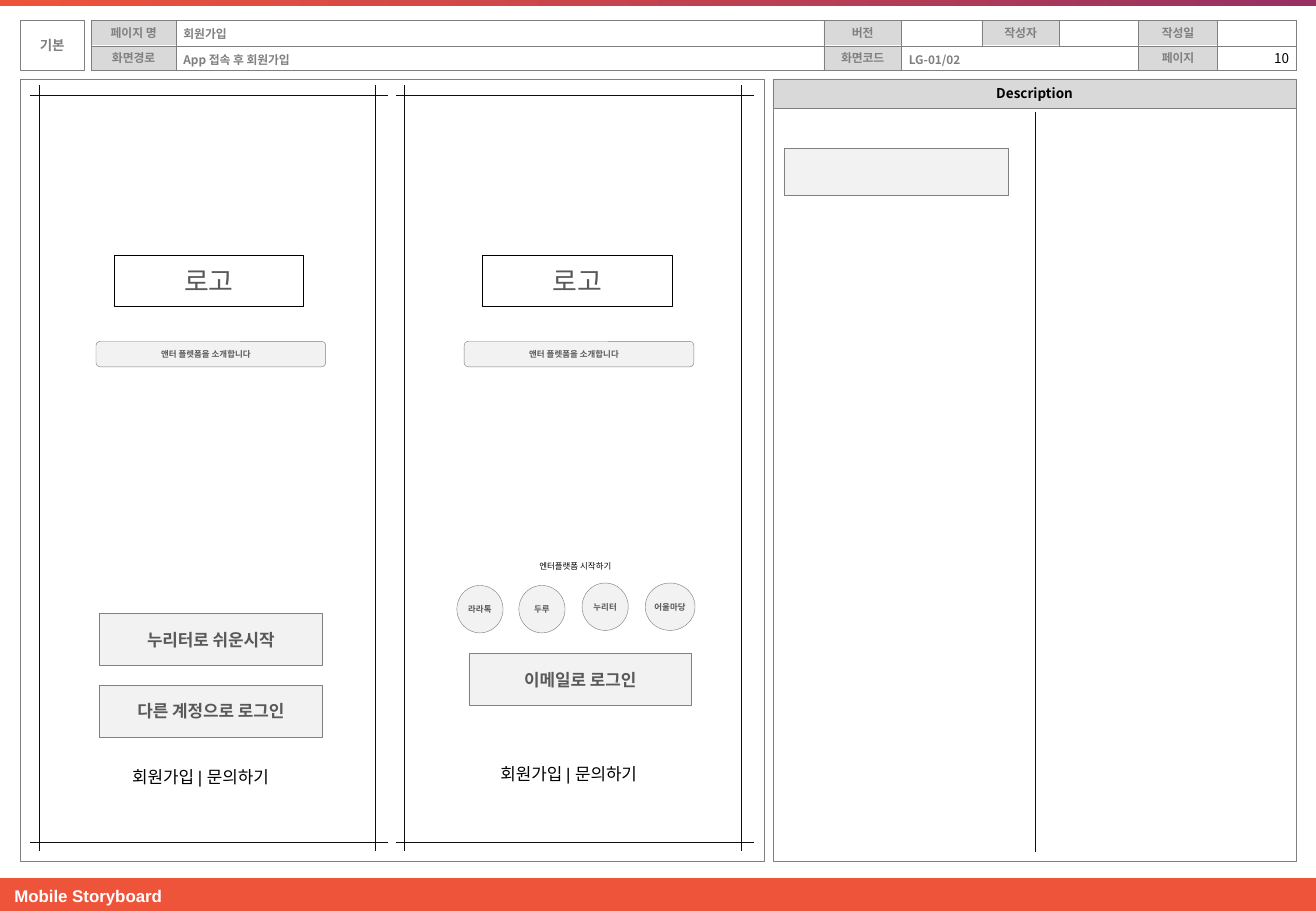
import dataclasses

import lxml.etree
import pptx
import pptx.dml.color
import pptx.enum.dml
import pptx.enum.shapes
import pptx.enum.text
import pptx.oxml.ns
import pptx.util

PX = 9144  # EMU in one px, 100 px to the inch
ALIGN = pptx.enum.text.PP_ALIGN
ANCHOR = pptx.enum.text.MSO_ANCHOR
SHAPE = pptx.enum.shapes.MSO_SHAPE


@dataclasses.dataclass(frozen=True)
class Theme:
    accent: str = "EE543A"
    accent_end: str = "973163"
    white: str = "FFFFFF"
    ink: str = "000000"
    guide: str = "0D0D0D"
    dark: str = "595959"
    grey: str = "808080"
    label: str = "D9D9D9"
    pale: str = "F2F2F2"
    sans: str = "Noto Sans CJK KR"
    latin: str = "Arial"
    logo_size: int = 16
    button_size: int = 10
    heading_size: int = 8
    label_size: int = 7
    small_size: int = 5
    hairline: float = 0.25


THEME = Theme()


def rgb(value):
    return pptx.dml.color.RGBColor.from_string(value)


def emu(*lengths):
    return [length * PX for length in lengths]


def write(shape, text, size, color, bold=False, font=THEME.sans, align=ALIGN.CENTER,
          anchor=ANCHOR.MIDDLE, insets=(0, 0, 0, 0), wrap=True):
    frame = shape.text_frame
    frame.auto_size = pptx.enum.text.MSO_AUTO_SIZE.NONE
    frame.word_wrap = wrap
    frame.vertical_anchor = anchor
    (frame.margin_left, frame.margin_top,
     frame.margin_right, frame.margin_bottom) = emu(*insets)
    frame.text = text
    paragraph = frame.paragraphs[0]
    paragraph.alignment = align
    paragraph.space_before = paragraph.space_after = pptx.util.Pt(0)
    paragraph.font.size = pptx.util.Pt(size)
    paragraph.font.bold = bold
    paragraph.font.color.rgb = rgb(color)
    paragraph.font.name = font
    qn = pptx.oxml.ns.qn
    defaults = paragraph._p.pPr.find(qn("a:defRPr"))
    lxml.etree.SubElement(defaults, qn("a:ea"), typeface=THEME.sans)


def add_box(slide, box, fill=None, line=None, kind=SHAPE.RECTANGLE):
    shape = slide.shapes.add_shape(kind, *emu(*box))
    shape.shadow.inherit = False
    if fill:
        shape.fill.solid()
        shape.fill.fore_color.rgb = rgb(fill)
    else:
        shape.fill.background()
    if line:
        shape.line.color.rgb = rgb(line)
        shape.line.width = pptx.util.Pt(THEME.hairline)
    else:
        shape.line.fill.background()
    return shape


def add_line(slide, x1, y1, x2, y2, color=THEME.grey, dotted=False):
    line = slide.shapes.add_connector(
        pptx.enum.shapes.MSO_CONNECTOR.STRAIGHT, *emu(x1, y1, x2, y2))
    line.line.color.rgb = rgb(color)
    line.line.width = pptx.util.Pt(THEME.hairline)
    if dotted:
        line.line.dash_style = pptx.enum.dml.MSO_LINE.ROUND_DOT
    lxml.etree.SubElement(line._element.spPr, pptx.oxml.ns.qn("a:effectLst"))


def add_text(slide, box, text, size, color, **style):
    write(slide.shapes.add_textbox(*emu(*box)), text, size, color, **style)


def add_control(slide, box, text, size, kind=SHAPE.RECTANGLE, insets=(0, 0, 0, 0)):
    """Pale wireframe control with a bold caption."""
    control = add_box(slide, box, THEME.pale, THEME.grey, kind)
    write(control, text, size, THEME.dark, bold=True, insets=insets)


def add_bands(slide, width, height):
    """Gradient strip along the top and the named bar along the bottom."""
    strip = add_box(slide, (0, 0, width, 5), THEME.accent)
    strip.fill.gradient()
    strip.fill.gradient_angle = 180
    for stop, color in zip(strip.fill.gradient_stops, (THEME.accent_end, THEME.accent)):
        stop.color.rgb = rgb(color)
    add_box(slide, (0, height - 27, width, 27), THEME.accent)
    add_text(slide, (2, height - 26, 143, 27), "Mobile Storyboard", THEME.button_size,
             THEME.white, bold=True, font=THEME.latin, align=ALIGN.LEFT,
             anchor=ANCHOR.TOP, insets=(10, 5, 10, 5), wrap=False)


def add_header(slide, left, top, right):
    """Sheet type, then a two-row grid of labels and values."""
    row, bottom = 20, top + 41
    middle = top + row + 1
    sheet = add_box(slide, (left, top, 52, 41), THEME.white, THEME.grey)
    write(sheet, "기본", THEME.heading_size, THEME.grey, bold=True)

    # Column edges counted from the left side of the sheet type
    name, name_value, code, code_value, author, author_value, date, date_value = (
        left + offset for offset in (58, 128, 661, 725, 791, 855, 920, 985))
    labels = [
        (name, name_value, top, "페이지 명"), (name, name_value, middle, "화면경로"),
        (code, code_value, top, "버전"), (code, code_value, middle, "화면코드"),
        (author, author_value, top, "작성자"),
        (date, date_value, top, "작성일"), (date, date_value, middle, "페이지"),
    ]
    for start, end, y, text in labels:
        label = add_box(slide, (start, y, end - start, row), THEME.label)
        write(label, text, THEME.label_size, THEME.grey, bold=True, wrap=False)
    for y in (top, middle, bottom):
        add_line(slide, name, y, right, y)
    for x in (name, name_value, code, code_value, date, date_value, right):
        add_line(slide, x, top, x, bottom)
    for x in (author, author_value):
        add_line(slide, x, top, x, middle)

    page_name, page_path, _, screen_code, _ = list(slide.placeholders)
    values = [
        (page_name, name_value, code, top, "회원가입"),
        (page_path, name_value, code, middle, "App 접속 후 회원가입"),
        (screen_code, code_value, date, middle, "LG-01/02"),
    ]
    for value, start, end, y, text in values:
        value.left, value.top, value.width, value.height = emu(start, y, end - start, row)
        write(value, text, THEME.label_size, THEME.grey, bold=True,
              align=ALIGN.LEFT, insets=(6, 2, 0, 0))
    for unused in list(slide.placeholders):
        if not unused.text_frame.text:
            unused._element.getparent().remove(unused._element)
    add_text(slide, (date_value + 13, middle + 3, 46, 13), "10",
             THEME.heading_size, THEME.ink, align=ALIGN.RIGHT)


def add_description(slide, left, top, width, height):
    heading = add_box(slide, (left, top, width, 24), THEME.label, THEME.grey)
    write(heading, "Description", THEME.heading_size, THEME.ink, bold=True, wrap=False)
    add_box(slide, (left, top, width, height), line=THEME.grey)
    center = left + width // 2 + 1
    add_line(slide, center, top + 27, center, top + height - 8, THEME.guide, dotted=True)
    add_box(slide, (left + 9, top + 57, 185, 39), THEME.pale, THEME.grey)


def add_screen_guides(slide, left, top, width, height):
    for x in (left + 7, left + width - 10):
        add_line(slide, x, top, x, top + height, THEME.guide, dotted=True)
    for y in (top + 8, top + height - 7):
        add_line(slide, left, y, left + width, y, THEME.guide, dotted=True)


def add_screen(slide, left, top, links_top):
    """Parts that both phone screens share."""
    logo = add_box(slide, (left + 15, top, 156, 42), THEME.white, THEME.ink)
    write(logo, "로고", THEME.logo_size, THEME.dark, insets=(4, 4, 4, 4))
    add_control(slide, (left, top + 71, 189, 21), "앤터 플렛폼을 소개합니다",
                THEME.small_size, SHAPE.ROUNDED_RECTANGLE, insets=(0, 0, 8, 0))
    add_text(slide, (left + 20, links_top, 166, 27), "회원가입 | 문의하기",
             THEME.button_size, THEME.ink, font=THEME.latin, align=ALIGN.LEFT,
             anchor=ANCHOR.TOP, insets=(10, 5, 10, 5))


def add_start_screen(slide, left, top):
    add_screen(slide, left, top, top + 416)
    for offset, text in ((295, "누리터로 쉬운시작"), (354, "다른 계정으로 로그인")):
        add_control(slide, (left + 3, top + offset, 183, 43), text, THEME.button_size)


def add_login_screen(slide, left, top):
    add_screen(slide, left, top, top + 414)
    add_text(slide, (left + 52, top + 247, 166, 19), "엔터플랫폼 시작하기",
             THEME.small_size, THEME.ink, font=THEME.latin, align=ALIGN.LEFT,
             anchor=ANCHOR.TOP, insets=(10, 5, 10, 5))
    accounts = [(-6, 272, 38, "라라톡"), (45, 272, 38, "두루"),
                (97, 270, 38, "누리터"), (149, 270, 41, "어울마당")]
    for x, y, width, text in accounts:
        add_control(slide, (left + x, top + y, width, 39), text,
                    THEME.small_size, SHAPE.OVAL)
    add_control(slide, (left + 4, top + 328, 183, 43), "이메일로 로그인",
                THEME.button_size)


def main():
    width, height = 1083, 750
    deck = pptx.Presentation()
    deck.slide_width, deck.slide_height = emu(width, height)
    slide = deck.slides.add_slide(deck.slide_layouts.get_by_name("Comparison"))
    add_bands(slide, width, height)
    add_header(slide, 17, 17, 1067)
    add_box(slide, (17, 65, 612, 644), line=THEME.grey)
    add_description(slide, 636, 65, 431, 644)
    for left in (25, 326):
        add_screen_guides(slide, left, 70, 294, 630)
    add_start_screen(slide, 79, 210)
    add_login_screen(slide, 382, 210)
    deck.save("out.pptx")


if __name__ == "__main__":
    main()
